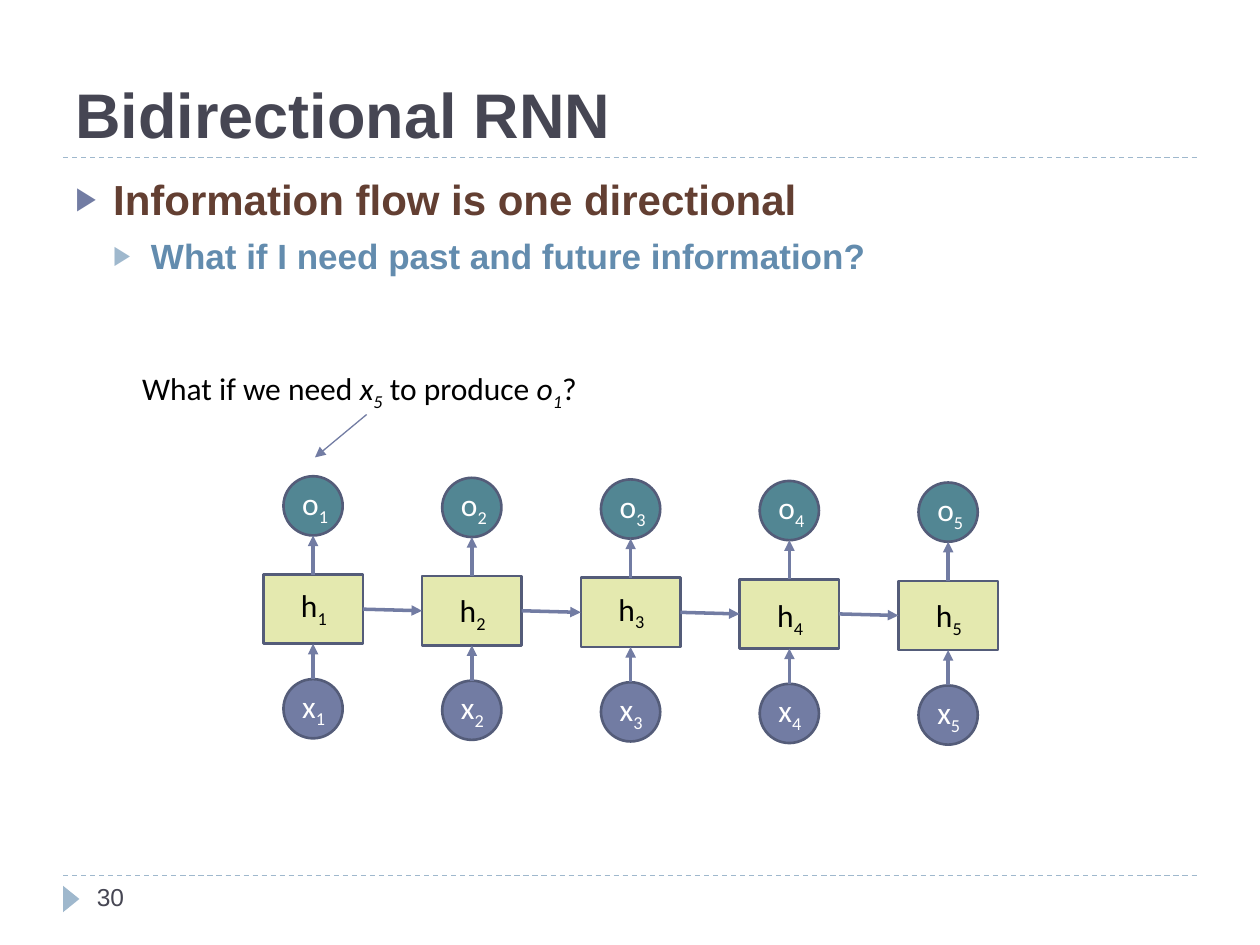
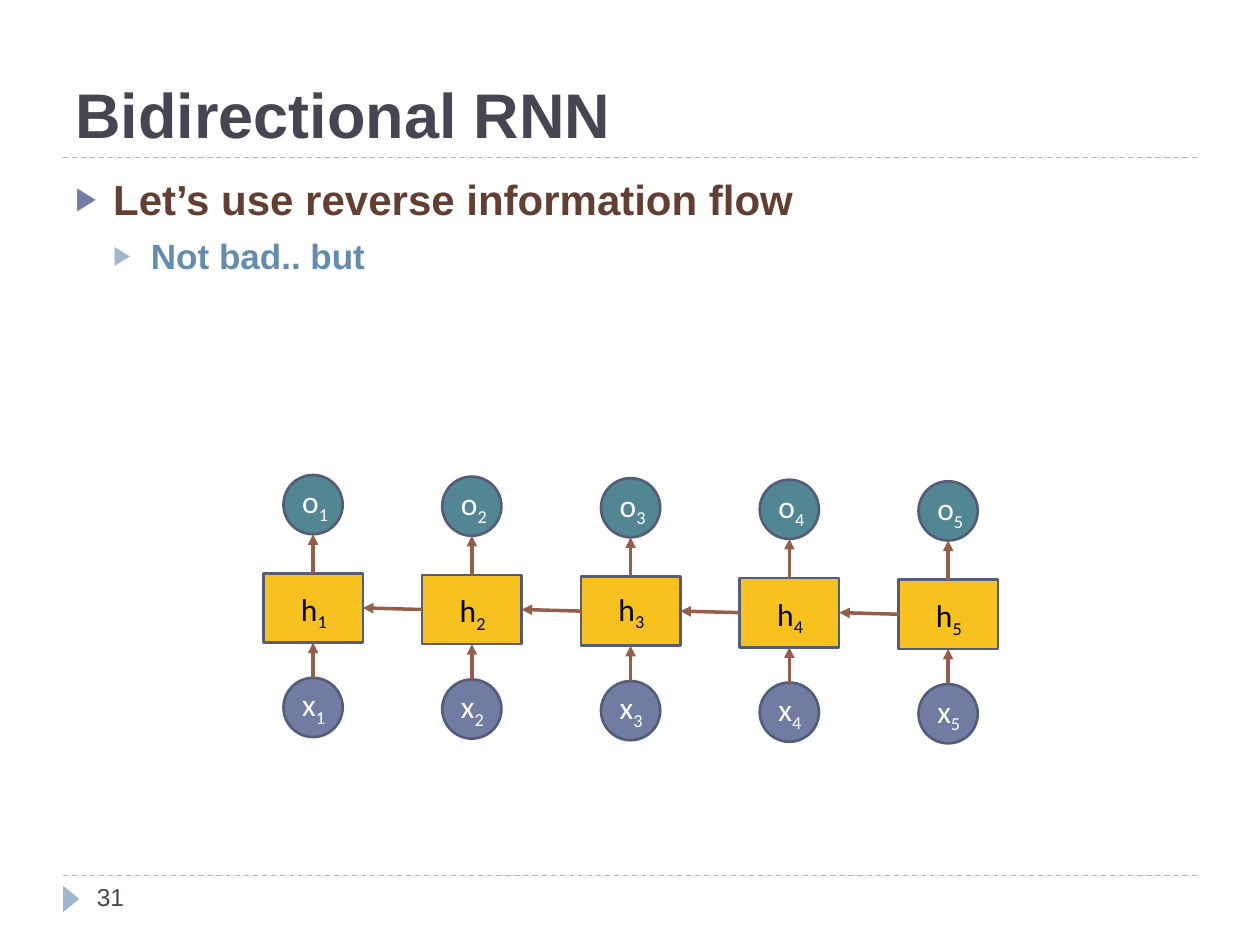
"""Build two slides that compare forward and reverse information flow in an RNN."""
from dataclasses import dataclass

from lxml import etree
from pptx import Presentation
from pptx import util as u
from pptx.dml.color import RGBColor
from pptx.enum import dml, shapes, text
from pptx.oxml import ns


@dataclass(frozen=True)
class Theme:
    """Colours, fonts and type sizes shared by the slides."""
    title: str = "464653"
    point: str = "633F32"
    subpoint: str = "638CAE"
    accent: str = "727CA3"
    pale: str = "9FB8CD"
    outline: str = "545C79"
    output: str = "528693"
    forward: str = "E4E9AF"
    reverse: str = "F7C120"
    reverse_arrow: str = "955E4B"
    white: str = "FFFFFF"
    black: str = "000000"
    heading_font: str = "Arial"
    diagram_font: str = "Calibri"
    title_size: int = 36
    point_size: int = 24
    subpoint_size: int = 20
    label_size: int = 18
    number_size: int = 14


T = Theme()
STEPS = 5
PITCH = 1.26
DRIFT = 0.05 / (STEPS - 1)
BOX_LEFT, BOX_W, BOX_H = 2.09, 0.79, 0.55
CIRCLE = 0.47
OUTPUT_RISE, INPUT_DROP = 0.78, 0.83


def rgb(value):
    """Turn a hex string into a colour."""
    return RGBColor.from_string(value)


def sub(parent, tag, **attrs):
    """Append a DrawingML element with the given attributes."""
    return etree.SubElement(parent, ns.qn(tag), attrs)


def write(p, words, size=T.label_size, font=T.diagram_font, color=T.black,
          bold=False, italic=False, base=0):
    """Add one formatted run to a paragraph."""
    r = p.add_run()
    r.text = words
    f = r.font
    f.size, f.name, f.bold, f.italic = u.Pt(size), font, bold, italic
    f.color.rgb = rgb(color)
    if base:
        r.font._element.set("baseline", str(base * 1000))


def add_box(s, x, y, w, h, wrap=True, anchor=text.MSO_ANCHOR.TOP):
    """Add an empty text box and return its text frame."""
    tf = s.shapes.add_textbox(*map(u.Inches, (x, y, w, h))).text_frame
    tf.word_wrap = wrap
    tf.vertical_anchor = anchor
    if not wrap:
        tf.auto_size = text.MSO_AUTO_SIZE.SHAPE_TO_FIT_TEXT
    return tf


def add_label(s, x, y, letter, index, color):
    """Add a letter with a subscript number."""
    p = add_box(s, x, y, 0.41, 0.4, wrap=False).paragraphs[0]
    write(p, letter, color=color)
    write(p, str(index), color=color, base=-25)


def add_solid(s, kind, x, y, w, h, fill, outline=T.outline):
    """Add a filled preset shape, outlined unless outline is None."""
    sp = s.shapes.add_shape(kind, *map(u.Inches, (x, y, w, h)))
    sp.shadow.inherit = False
    sp.fill.solid()
    sp.fill.fore_color.rgb = rgb(fill)
    if outline:
        sp.line.color.rgb = rgb(outline)
        sp.line.width = u.Pt(1.5)
    else:
        sp.line.fill.background()
    return sp


def add_line(s, start=(0, 0), end=(0, 0), color=T.pale, width=0.75, arrow=True):
    """Add a straight line that ends in an arrowhead or is dashed."""
    cx = s.shapes.add_connector(shapes.MSO_CONNECTOR.STRAIGHT,
                                *map(u.Inches, (*start, *end)))
    cx.line.color.rgb = rgb(color)
    cx.line.width = u.Pt(width)
    if arrow:
        sub(cx.line._get_or_add_ln(), "a:tailEnd", type="triangle")
    else:
        cx.line.dash_style = dml.MSO_LINE.DASH
    sub(cx._element.spPr, "a:effectLst")
    return cx


def add_bullet(p, words, level, before, bullet_color, **fmt):
    """Fill a paragraph with a triangle-bulleted point."""
    p.level = level
    p.space_before = u.Pt(before)
    pPr = p._p.get_or_add_pPr()
    pPr.set("marL", str(u.Inches(0.3 * (level + 1))))
    pPr.set("indent", str(u.Inches(-0.3)))
    sub(sub(pPr, "a:buClr"), "a:srgbClr", val=bullet_color)
    sub(pPr, "a:buSzPct", val="76000")
    sub(pPr, "a:buFont", typeface=T.heading_font)
    sub(pPr, "a:buChar", char="▶")
    write(p, words, font=T.heading_font, bold=True, **fmt)


def add_frame(prs, number, title, point, subpoint):
    """Add a slide with its rules, title, number and two points."""
    s = prs.slides.add_slide(prs.slide_layouts[6])
    for y in (6.95, 1.25):
        add_line(s, (0.5, y), (9.5, y), arrow=False)
    marker = add_solid(s, shapes.MSO_SHAPE.ISOSCELES_TRIANGLE,
                       0.46, 7.07, 0.21, 0.13, T.pale, outline=None)
    marker.rotation = 90
    tf = add_box(s, 0.5, 0.17, 9, 1.08, anchor=text.MSO_ANCHOR.BOTTOM)
    write(tf.paragraphs[0], title, size=T.title_size, font=T.heading_font,
          color=T.title, bold=True)
    tf = add_box(s, 0.67, 6.95, 2.17, 0.4)
    write(tf.paragraphs[0], str(number), size=T.number_size,
          font=T.heading_font, color=T.title)
    tf = add_box(s, 0.5, 1.33, 9, 5.4)
    add_bullet(tf.paragraphs[0], point, 0, 18, T.accent,
               size=T.point_size, color=T.point)
    add_bullet(tf.add_paragraph(), subpoint, 1, 6, T.pale,
               size=T.subpoint_size, color=T.subpoint)
    return s


def add_circle(s, center, y, letter, index, fill):
    """Add a labelled input or output circle."""
    x = center - CIRCLE / 2
    sp = add_solid(s, shapes.MSO_SHAPE.OVAL, x, y, CIRCLE, CIRCLE, fill)
    add_label(s, x + 0.05, y + 0.01, letter, index, T.white)
    return sp


def add_step(s, index, x, y, label_y, fill, arrow_color):
    """Add one time step, input to hidden to output, and return its box."""
    center = x + BOX_W / 2
    output_y = y - OUTPUT_RISE
    source = add_circle(s, center, y + INPUT_DROP, "x", index, T.accent)
    box = add_solid(s, shapes.MSO_SHAPE.RECTANGLE, x, y, BOX_W, BOX_H, fill)
    add_circle(s, center, output_y, "o", index, T.output)
    rise = add_line(s, color=arrow_color, width=2)
    rise.begin_connect(source, 0)
    rise.end_connect(box, 2)
    leave = add_line(s, end=(center, output_y + CIRCLE),
                     color=arrow_color, width=2)
    leave.begin_connect(box, 0)
    add_label(s, x + 0.2, label_y, "h", index, T.black)
    return box


def add_network(s, top, label_tops, fill, arrow_color, reverse=False):
    """Add the chain of time steps and the arrows between them."""
    boxes = [add_step(s, i + 1, BOX_LEFT + i * PITCH, top + i * DRIFT,
                      label_y, fill, arrow_color)
             for i, label_y in enumerate(label_tops)]
    for left, right in zip(boxes, boxes[1:]):
        flow = add_line(s, color=arrow_color, width=2)
        ends = [(left, 3), (right, 1)]
        begin, end = reversed(ends) if reverse else ends
        flow.begin_connect(*begin)
        flow.end_connect(*end)


def add_question(s):
    """Add the question about the first output and its pointer."""
    p = add_box(s, 1.03, 2.88, 3.75, 0.4, wrap=False).paragraphs[0]
    write(p, "What if we need ")
    for letter, index, rest in (("x", "5", " to produce "), ("o", "1", "?")):
        write(p, letter, italic=True)
        write(p, index, italic=True, base=-25)
        write(p, rest)
    add_line(s, (2.91, 3.29), (2.5, 3.63), color=T.accent)


def main():
    """Build and save the deck."""
    prs = Presentation()
    prs.slide_width, prs.slide_height = u.Inches(10), u.Inches(7.5)
    title = "Bidirectional RNN"
    s = add_frame(prs, 30, title, "Information flow is one directional",
                  "What if I need past and future information?")
    add_network(s, 4.56, (4.6, 4.64, 4.63, 4.68, 4.68), T.forward, T.accent)
    add_question(s)
    s = add_frame(prs, 31, title, "Let’s use reverse information flow",
                  "Not bad.. but")
    add_network(s, 4.55, (4.63, 4.64, 4.63, 4.67, 4.68), T.reverse,
                T.reverse_arrow, reverse=True)
    prs.save("out.pptx")


if __name__ == "__main__":
    main()
